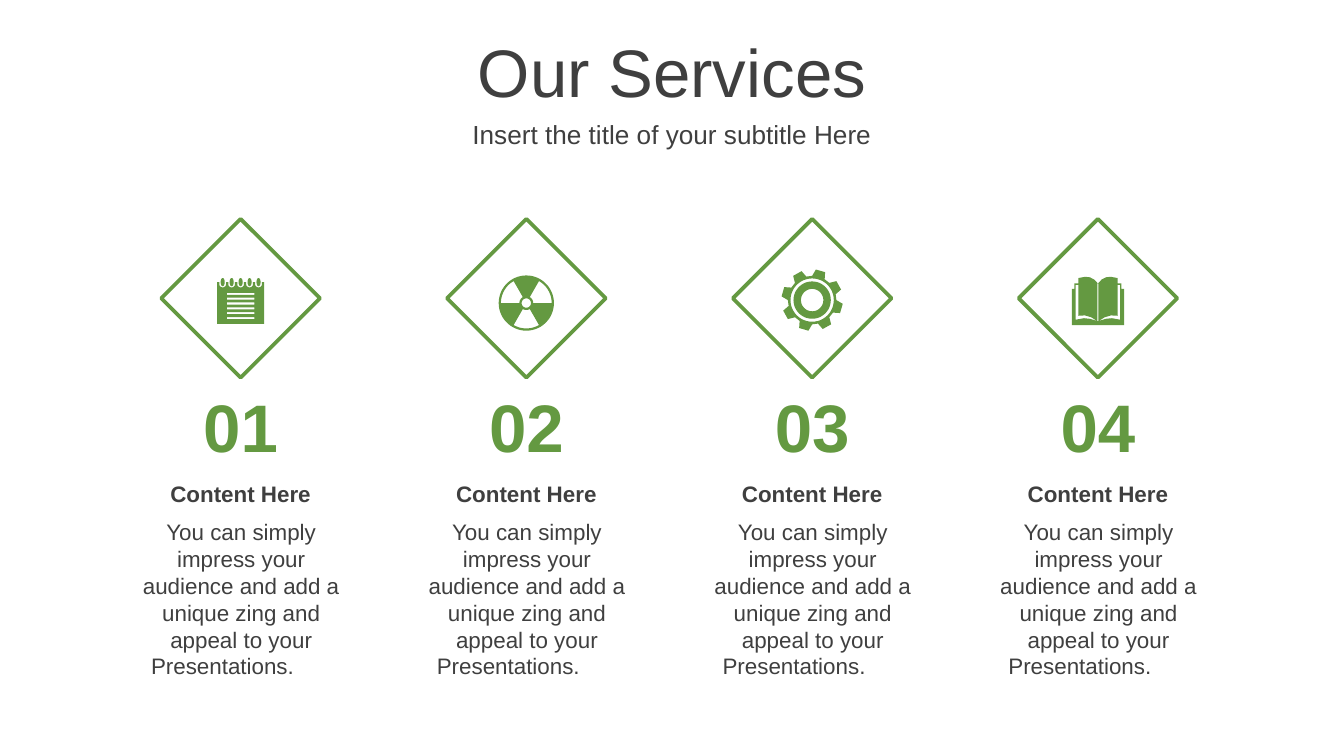
import math
import pptx
import pptx.dml.color
import pptx.enum.shapes
import pptx.enum.text
import pptx.util

Pt = pptx.util.Pt
Color = pptx.dml.color.RGBColor.from_string


class Theme:
    font = "Arial"
    green = Color("649941")
    dark = Color("3F3F3F")
    white = Color("FFFFFF")
    title = {"size": Pt(36), "bold": False}
    subtitle = {"size": Pt(14), "bold": False}
    number = {"size": Pt(36), "bold": True}
    head = {"size": Pt(12), "bold": True}
    body = {"size": Pt(12), "bold": False}


def write(box, place, lines, style, color):
    box.left, box.top, box.width, box.height = map(Pt, place)
    frame = box.text_frame
    format = {
        "word_wrap": True,
        "auto_size": pptx.enum.text.MSO_AUTO_SIZE.NONE,
        "vertical_anchor": pptx.enum.text.MSO_ANCHOR.MIDDLE,
        "margin_left": Pt(7.2), "margin_right": Pt(7.2),
        "margin_top": Pt(3.6), "margin_bottom": Pt(3.6),
    }
    for name, value in format.items():
        setattr(frame, name, value)
    frame.text = "\n".join(lines)
    for para in frame.paragraphs:
        para.alignment = pptx.enum.text.PP_ALIGN.CENTER
        for name, value in {"name": Theme.font, **style}.items():
            setattr(para.font, name, value)
        para.font.color.rgb = color
    return frame


def arc(x, y, wide, high, start=0, end=360, steps=24):
    turns = [math.radians(start + (end - start) * i / steps) for i in range(steps + 1)]
    return [(x + wide * math.cos(t), y + high * math.sin(t)) for t in turns]


deck = pptx.Presentation()
deck.slide_width, deck.slide_height = Pt(720), Pt(405)
slide = deck.slides.add_slide(deck.slide_layouts[5])
shapes = slide.shapes
slide.background.fill.solid()
slide.background.fill.fore_color.rgb = Theme.white

# Title and subtitle
write(shapes.title, (0, 15.1, 720, 45.4), ["Our Services"], Theme.title, Theme.dark)
write(shapes.add_textbox(0, 0, 0, 0), (0, 60.5, 720, 22.3),
      ["Insert the title of your subtitle Here"], Theme.subtitle, Theme.dark)

# Icons: each is a list of loops around the diamond's centre; inner loops are holes
rings = [-9.6 + 4.8 * i for i in range(5)]
page = [(-12.6, -8.6)]
for x in rings:
    page += [(x - 1.8, -8.6), *arc(x, -7.4, 1.8, 1.6, 180, 0), (x + 1.8, -8.6)]
page += [(12.6, -8.6), (12.6, 13.7), (-12.6, 13.7)]
notepad = [page]
notepad += [arc(x, -8.6, 1.1, 2.2) for x in rings]
for i in range(6):
    y = -2.9 + 2.6 * i
    notepad.append([(-7.4, y), (7.4, y), (7.4, y + 1.1), (-7.4, y + 1.1)])

fan = [arc(0, 2.6, 14.8, 14.8, steps=60), arc(0, 2.6, 2.5, 2.5)]
for turn in (-60, 60, 180):
    fan.append(arc(0, 2.6, 13.6, 13.6, turn, turn + 60)
               + arc(0, 2.6, 3.7, 3.7, turn + 60, turn))

teeth = []
for i in range(8):
    for turn, size in ((-38, 16.5), (-20, 16.5), (-14, 13), (0, 13)):
        angle = math.radians(turn + 45 * i)
        teeth.append((size * math.cos(angle), 1 + size * math.sin(angle)))
gear = [teeth] + [arc(0, 1, size, size, steps=48) for size in (11.6, 10, 6)]

edge = [(0, -7.9), (2, -10), (4.3, -11.2), (6.8, -11.5), (10.5, -10.8), (10.5, -7.9),
        (12.6, -7.9), (12.6, -5), (14, -5), (14, 14.4)]
strip = [(0.4, 12.2), (4.3, 11), (7.5, 10.7), (11.9, 11.5), (11.9, -7.2),
         (10.5, -7.2), (10.5, 9.4), (7, 9.2), (3.6, 10.2)]
book = [edge + [(-x, y) for x, y in reversed(edge)],
        strip, [(-x, y) for x, y in strip],
        [(-0.3, -7.9), (0.3, -7.9), (0.3, 12.2), (-0.3, 12.2)]]

# Diamonds
first, step, middle = 128.9, 153.1, 159.8
centers = [first + step * i for i in range(4)]
for center in centers:
    diamond = shapes.add_shape(pptx.enum.shapes.MSO_SHAPE.DIAMOND,
                               Pt(center - 42.5), Pt(middle - 42.5), Pt(85), Pt(85))
    diamond.shadow.inherit = False
    diamond.fill.solid()
    diamond.fill.fore_color.rgb = Theme.white
    diamond.line.color.rgb = Theme.green
    diamond.line.width = Pt(2)

# Icon, number and text of each service
for i, (center, icon) in enumerate(zip(centers, (notepad, fan, gear, book)), 1):
    pen = None
    for loop in icon:
        points = [(round(100 * (center + x)), round(100 * (middle + y))) for x, y in loop]
        if pen is None:
            pen = shapes.build_freeform(*points[0], scale=Pt(1) / 100)
        else:
            pen.move_to(*points[0])
        pen.add_line_segments(points[1:], close=True)
    sign = pen.convert_to_shape()
    sign.shadow.inherit = False
    sign.fill.solid()
    sign.fill.fore_color.rgb = Theme.green
    sign.line.fill.background()

    write(shapes.add_textbox(0, 0, 0, 0), (center - 33.8, 202.3, 67.6, 51.1),
          [f"{i:02}"], Theme.number, Theme.green)
    group = shapes.add_group_shape().shapes
    frame = write(group.add_textbox(0, 0, 0, 0), (center - 60.5, 273.6, 121.7, 94.3),
                  ["You can simply impress your audience and add a unique zing and appeal to your",
                   "Presentations."], Theme.body, Theme.dark)
    # The last line sits left of centre
    frame.paragraphs[-1]._p.get_or_add_pPr().set("marR", str(Pt(20)))
    write(group.add_textbox(0, 0, 0, 0), (center - 61.5, 253.4, 123, 21.6),
          ["Content Here"], Theme.head, Theme.dark)

deck.save("out.pptx")
